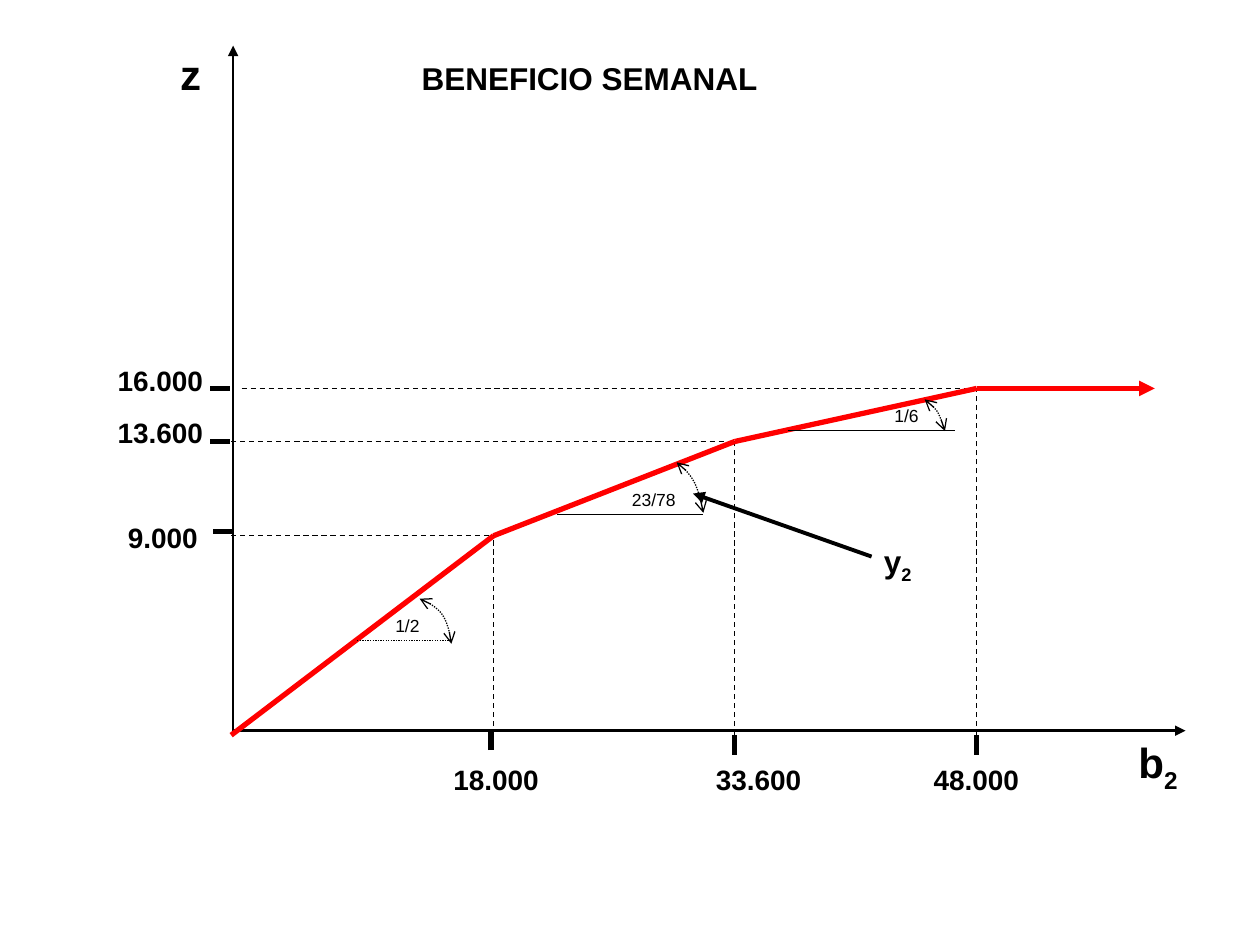
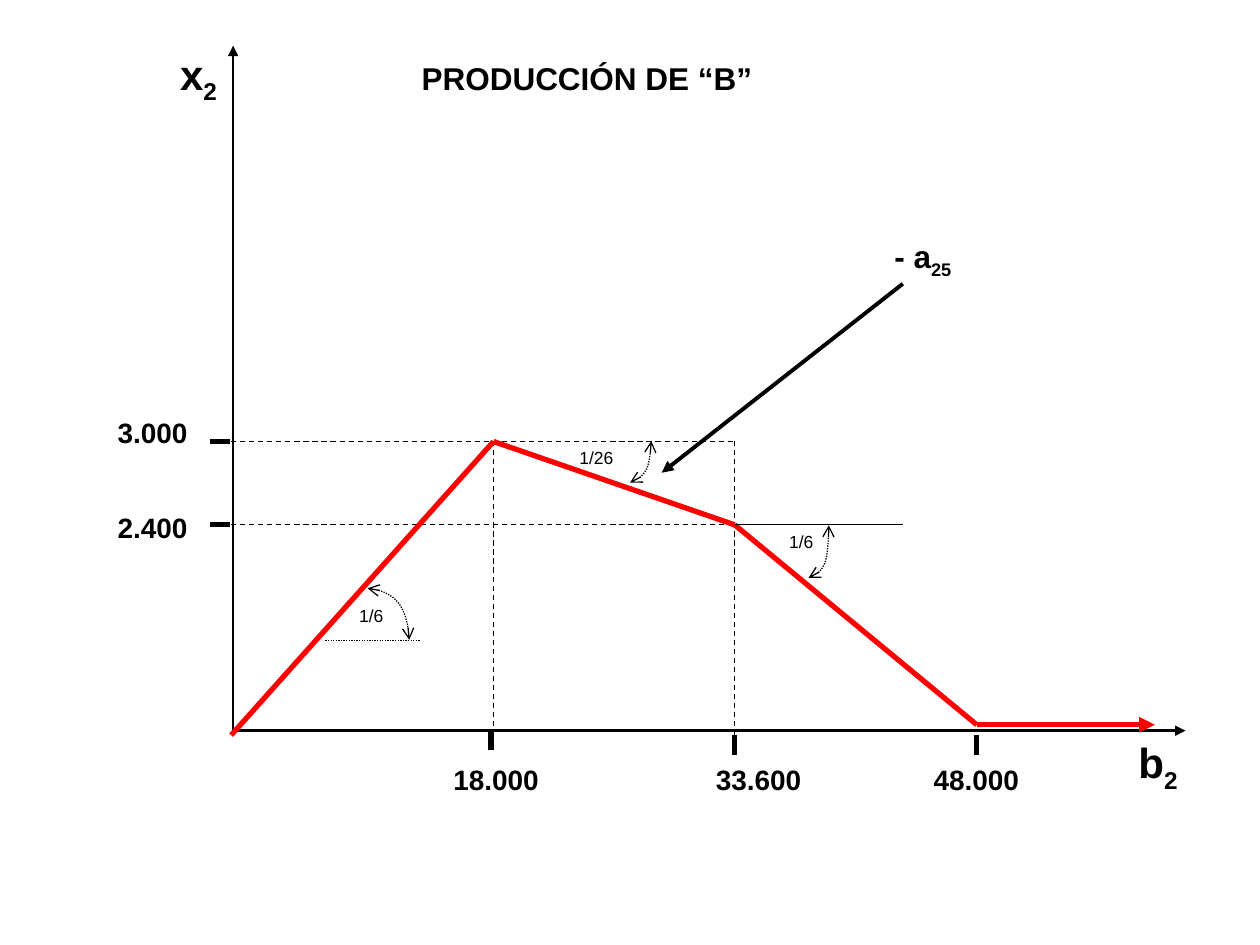
from itertools import pairwise

from lxml import etree
from pptx import Presentation
from pptx import util as u
from pptx.dml.color import RGBColor
from pptx.enum import dml, text
from pptx.enum import shapes
from pptx.oxml.ns import qn

INK = RGBColor(0x00, 0x00, 0x00)
CURVE = RGBColor(0xFF, 0x00, 0x00)
FONT = "Arial"
DASH = dml.MSO_LINE.DASH
DOT = dml.MSO_LINE.ROUND_DOT
LABEL_HEIGHTS = {24: 1.42, 18: 1.12, 16: 0.94, 10: 0.69}

ORIGIN_X, ORIGIN_Y = 4.66, 14.82
AXIS_X, AXIS_Y = 4.7, 14.73
B_18, B_33, B_48 = 9.95, 14.81, 19.69
CURVE_END = 23.28


class Plot:
    """Draws line diagrams on slides, with all lengths in centimetres."""

    def __init__(self):
        self.deck = Presentation()
        self.deck.slide_width, self.deck.slide_height = u.Cm(25.4), u.Cm(19.05)

    def new_slide(self, title, vertical, sub=""):
        self.slide = self.deck.slides.add_slide(self.deck.slide_layouts[6])
        self.line((AXIS_X, AXIS_Y), (AXIS_X, 0.92), 1.5, tail="triangle")
        self.line((AXIS_X, AXIS_Y), (23.9, AXIS_Y), 1.5, tail="triangle")
        self.label(3.38, 0.85, 1.6, vertical, 24, sub)
        self.label(22.7, 14.73, 1.6, "b", 24, "2")
        self.label(8.25, 1.07, 9.96, title, 18)
        for tick, top, left, amount in (
            (9.9, AXIS_Y, 8.89, "18.000"),
            (B_33, ORIGIN_Y, 14.18, "33.600"),
            (B_48, ORIGIN_Y, 18.57, "48.000"),
        ):
            self.line((tick, top + 0.39), (tick, top), 3)
            self.label(left, 15.24, 2.54, amount, 16)

    def style_line(self, drawn, width, color, dash=None, head=None, tail=None):
        drawn.line.color.rgb = color
        drawn.line.width = u.Pt(width)
        if dash:
            drawn.line.dash_style = dash
        ln = drawn.line._get_or_add_ln()
        for tag, kind in (("a:headEnd", head), ("a:tailEnd", tail)):
            if kind:
                etree.SubElement(ln, qn(tag), type=kind)

    def line(self, start, end, width=0.75, color=INK, dash=None, tail=None):
        ends = [u.Cm(value) for value in (*start, *end)]
        drawn = self.slide.shapes.add_connector(shapes.MSO_CONNECTOR.STRAIGHT, *ends)
        self.style_line(drawn, width, color, dash, tail=tail)
        etree.SubElement(drawn._element.spPr, qn("a:effectLst"))

    def label(self, left, top, width, main, size, sub="", bold=True, wrap=True):
        box = self.slide.shapes.add_textbox(
            u.Cm(left), u.Cm(top), u.Cm(width), u.Cm(LABEL_HEIGHTS[size]))
        frame = box.text_frame
        frame.word_wrap = wrap
        frame.auto_size = text.MSO_AUTO_SIZE.SHAPE_TO_FIT_TEXT
        for part, baseline in ((main, None), (sub, "-25000")):
            if not part:
                continue
            run = frame.paragraphs[0].add_run()
            run.text = part
            run.font.name, run.font.size, run.font.bold = FONT, u.Pt(size), bold
            run.font.color.rgb = INK
            if baseline:
                run._r.get_or_add_rPr().set("baseline", baseline)

    def y_mark(self, amount, left, top, tick, tick_left=4.24):
        self.label(left, top, 2.54, amount, 16)
        self.line((tick_left, tick), (tick_left + 0.39, tick), 3)

    def guides(self, uprights, levels):
        for x, top in uprights:
            self.line((x, ORIGIN_Y), (x, top), dash=DASH)
        for y, left, right in levels:
            self.line((left, y), (right, y), dash=DASH)

    def curve(self, *knots):
        for start, end in pairwise(((ORIGIN_X, ORIGIN_Y), *knots)):
            self.line(start, end, 3, CURVE)
        last = knots[-1]
        self.line(last, (CURVE_END, last[1]), 3, CURVE, tail="triangle")

    def slope(self, ratio, left, top, arc):
        """Label a slope and mark its angle with a cubic arc of four points."""
        start, *rest = [(u.Cm(x), u.Cm(y)) for x, y in arc]
        builder = self.slide.shapes.build_freeform(*start)
        builder.add_line_segments(rest, close=False)
        angle = builder.convert_to_shape()
        path = angle._element.find(".//" + qn("a:path"))
        bezier = etree.SubElement(path, qn("a:cubicBezTo"))
        for step in path.findall(qn("a:lnTo")):
            bezier.append(step[0])
            path.remove(step)
        angle.shadow.inherit = False
        angle.fill.background()
        self.style_line(angle, 0.75, INK, DOT, "arrow", "arrow")
        self.label(left, top, 1.6, ratio, 10, bold=False)


def weekly_profit(plot):
    plot.new_slide("BENEFICIO SEMANAL", "z")
    plot.y_mark("9.000", 2.33, 10.36, 10.72, 4.3)
    plot.y_mark("13.600", 2.12, 8.26, 8.9)
    plot.y_mark("16.000", 2.12, 7.2, 7.83)
    knots = (B_18, 10.8), (B_33, 8.9), (B_48, 7.83)
    plot.guides(knots, [(10.8, ORIGIN_X, B_18), (8.9, ORIGIN_X, B_33),
                        (7.83, 4.87, B_48)])
    plot.curve(*knots)
    plot.line((7.2, 12.91), (9.1, 12.91), dash=DOT)
    plot.line((11.22, 10.37), (14.17, 10.37))
    plot.line((15.88, 8.68), (19.25, 8.68))
    plot.slope("1/2", 7.72, 12.27,
               ((8.46, 12.07), (8.81, 12.17), (9.07, 12.55), (9.1, 12.98)))
    plot.slope("23/78", 12.49, 9.73,
               ((13.64, 9.32), (13.89, 9.47), (14.1, 9.86), (14.18, 10.34)))
    plot.slope("1/6", 17.78, 8.05,
               ((18.64, 8.05), (18.82, 8.15), (18.97, 8.38), (19.05, 8.69)))
    plot.line((17.57, 11.22), (13.97, 9.95), 2.25, tail="triangle")
    plot.label(17.57, 10.8, 1.47, "y", 18, "2")


def production_of_b(plot):
    plot.new_slide("PRODUCCIÓN DE “B”", "x", "2")
    plot.y_mark("2.400", 2.12, 10.16, 10.58)
    plot.y_mark("3.000", 2.12, 8.26, 8.9)
    plot.guides([(B_18, 8.9), (B_33, 8.9)],
                [(8.9, ORIGIN_X, B_33), (10.58, ORIGIN_X, B_33)])
    plot.curve((B_18, 8.9), (B_33, 10.58), (B_48, 14.61))
    plot.line((6.56, 12.91), (8.46, 12.91), dash=DOT)
    plot.line((B_33, 10.58), (18.2, 10.58))
    plot.slope("1/6", 6.99, 12.07,
               ((7.41, 11.86), (7.87, 11.86), (8.25, 12.32), (8.25, 12.9)))
    plot.slope("1/26", 11.43, 8.89,
               ((12.7, 9.73), (12.93, 9.73), (13.13, 9.35), (13.13, 8.89)))
    plot.slope("1/6", 15.66, 10.58,
               ((16.3, 11.65), (16.54, 11.65), (16.71, 11.28), (16.71, 10.59)))
    plot.line((18.2, 5.72), (13.34, 9.53), 2.25, tail="triangle")
    plot.label(17.78, 4.65, 2.54, "- a", 18, "25")


def main():
    plot = Plot()
    weekly_profit(plot)
    production_of_b(plot)
    plot.deck.save("out.pptx")


if __name__ == "__main__":
    main()
